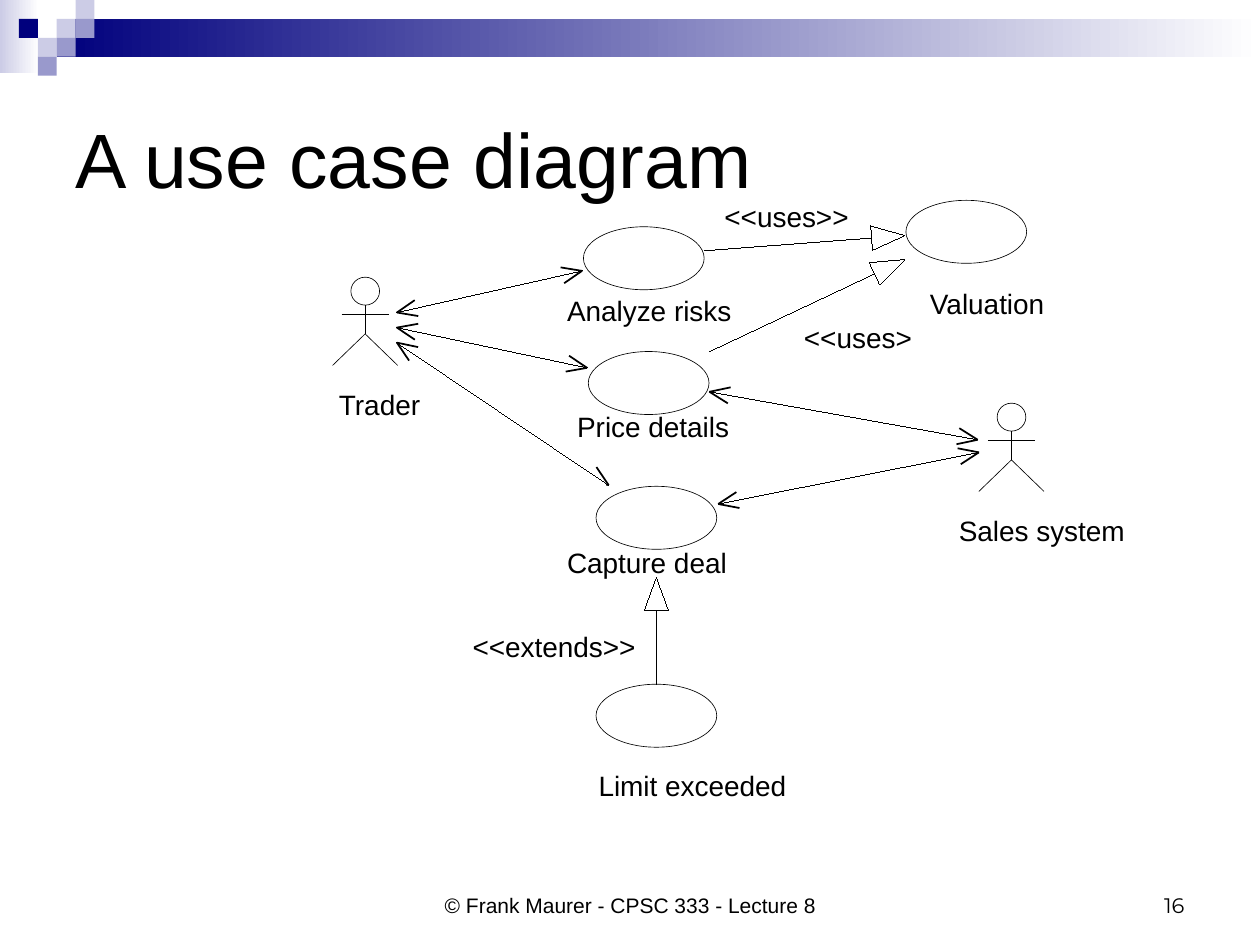
from dataclasses import dataclass
from math import atan2, cos, radians, sin

from lxml.etree import SubElement
from pptx import Presentation
from pptx.dml.color import RGBColor
from pptx.enum.shapes import MSO_CONNECTOR, MSO_SHAPE
from pptx.enum.text import MSO_ANCHOR, MSO_AUTO_SIZE, PP_ALIGN
from pptx.oxml.ns import qn
from pptx.util import Pt


@dataclass(frozen=True)
class Theme:
    """Colours, fonts, type sizes and line widths."""
    ink: RGBColor = RGBColor(0, 0, 0)
    paper: RGBColor = RGBColor(255, 255, 255)
    navy: RGBColor = RGBColor(0x00, 0x00, 0x7D)
    lilac: RGBColor = RGBColor(0x99, 0x99, 0xCC)
    mist: RGBColor = RGBColor(0xCC, 0xCC, 0xE6)
    font: str = "Arial"
    number_font: str = "Montserrat"
    title_size: int = 44
    label_size: int = 16
    footer_size: int = 12
    hairline: float = 0.01
    outline: float = 0.37
    barb: float = 1


THEME = Theme()
BARB_ANGLE = radians(22)
BARB_LENGTH = 12.4


def style_text(frame, text, size, font=THEME.font, align=PP_ALIGN.LEFT):
    """Set the text of a frame and format its runs."""
    frame.text = text
    paragraph = frame.paragraphs[0]
    paragraph.alignment = align
    for run in paragraph.runs:
        run.font.name = font
        run.font.size = Pt(size)
        run.font.color.rgb = THEME.ink


def add_filled(slide, box, *colours):
    """Add a borderless rectangle, plain or shaded from left to right."""
    shape = slide.shapes.add_shape(MSO_SHAPE.RECTANGLE, *map(Pt, box))
    shape.shadow.inherit = False
    shape.line.fill.background()
    if len(colours) == 1:
        shape.fill.solid()
        shape.fill.fore_color.rgb = colours[0]
        return
    shape.fill.gradient()
    shape.fill.gradient_angle = 0
    for stop, colour in zip(shape.fill.gradient_stops, colours):
        stop.color.rgb = colour


def add_oval(slide, box):
    """Add an unfilled outlined ellipse."""
    shape = slide.shapes.add_shape(MSO_SHAPE.OVAL, *map(Pt, box))
    shape.shadow.inherit = False
    shape.fill.background()
    shape.line.color.rgb = THEME.ink
    shape.line.width = Pt(THEME.outline)
    return shape


def add_line(slide, start, end, width):
    """Add a straight line between two points."""
    line = slide.shapes.add_connector(
        MSO_CONNECTOR.STRAIGHT, *map(Pt, (*start, *end)))
    line.line.color.rgb = THEME.ink
    line.line.width = Pt(width)
    SubElement(line._element.spPr, qn("a:effectLst"))
    return line


def add_path(slide, points, width, close=False):
    """Add a polyline, or a white polygon when closed."""
    corners = [(Pt(x), Pt(y)) for x, y in points]
    builder = slide.shapes.build_freeform(*corners[0])
    builder.add_line_segments(corners[1:], close=close)
    shape = builder.convert_to_shape()
    shape.shadow.inherit = False
    shape.line.color.rgb = THEME.ink
    shape.line.width = Pt(width)
    if close:
        shape.fill.solid()
        shape.fill.fore_color.rgb = THEME.paper
    else:
        shape.fill.background()


def add_label(slide, left, top, width, text):
    """Add a one-line diagram label."""
    frame = slide.shapes.add_textbox(Pt(left), Pt(top), Pt(width), Pt(19.4)).text_frame
    frame.margin_left = frame.margin_right = frame.margin_top = frame.margin_bottom = 0
    frame.word_wrap = False
    frame.auto_size = MSO_AUTO_SIZE.SHAPE_TO_FIT_TEXT
    style_text(frame, text, THEME.label_size)


def add_header(slide, box):
    """Draw the shaded band and the mosaic of squares."""
    left, top, width, height = box
    side = 10.8
    add_filled(slide, (left, top, 22.3, height), THEME.mist, THEME.paper)
    add_filled(slide, (left + 3 * side, top + side, width - 3 * side, 2 * side),
               THEME.navy, THEME.paper)
    squares = [(3, 1, THEME.mist), (4, 0, THEME.mist), (4, 1, THEME.lilac),
               (2, 2, THEME.mist), (1, 1, THEME.navy), (3, 2, THEME.lilac),
               (2, 3, THEME.lilac)]
    for column, row, colour in squares:
        add_filled(slide, (left + column * side, top + row * side, side, side), colour)


def add_title(slide, box, text):
    """Place and format the title placeholder."""
    title = slide.shapes.title
    title.left, title.top, title.width, title.height = map(Pt, box)
    frame = title.text_frame
    frame.auto_size = MSO_AUTO_SIZE.NONE
    frame.vertical_anchor = MSO_ANCHOR.MIDDLE
    style_text(frame, text, THEME.title_size)


def add_use_case(slide, box, text, offset, label_width):
    """Draw a use case oval with its label below."""
    left, top, _, height = box
    oval = add_oval(slide, box)
    add_label(slide, left + offset[0], top + height + offset[1], label_width, text)
    return oval


def add_actor(slide, box, text, label_shift, label_width):
    """Draw a stick figure with its name below."""
    left, top, width, height = box
    middle, hip = left + width / 2, top + 32.4
    add_oval(slide, (middle - 8.2, top, 16.4, 16))
    add_line(slide, (middle, top + 16), (middle, hip), THEME.outline)
    add_line(slide, (middle - 13.5, top + 21), (middle + 13.5, top + 21), THEME.outline)
    add_path(slide, [(left, top + height), (middle, hip), (left + width, top + height)],
             THEME.outline)
    add_label(slide, left + label_shift, top + height + 12.4, label_width, text)


def add_barbs(slide, tip, origin, lengths=(BARB_LENGTH, BARB_LENGTH)):
    """Draw the two strokes of an open arrowhead."""
    angle = atan2(origin[1] - tip[1], origin[0] - tip[0])
    for length, turn in zip(lengths, (BARB_ANGLE, -BARB_ANGLE)):
        end = (tip[0] + length * cos(angle + turn), tip[1] + length * sin(angle + turn))
        add_line(slide, tip, end, THEME.barb)


def add_association(slide, start, end, end_lengths=(BARB_LENGTH, BARB_LENGTH)):
    """Link an actor and a use case in both directions."""
    add_line(slide, start, end, THEME.hairline)
    add_barbs(slide, start, end)
    add_barbs(slide, end, start, end_lengths)


def add_relation(slide, start, tip):
    """Draw a line that ends in a hollow triangle."""
    line = add_line(slide, start, tip, THEME.hairline)
    angle = atan2(start[1] - tip[1], start[0] - tip[0])
    along, across = (cos(angle), sin(angle)), (-sin(angle), cos(angle))
    base = [(tip[0] + 19 * along[0] + half * across[0],
             tip[1] + 19 * along[1] + half * across[1]) for half in (7, -7)]
    add_path(slide, [tip, *base], THEME.hairline, close=True)
    return line


def add_diagram(slide, box):
    """Draw actors, use cases and the links between them."""
    left, top = box[:2]

    def at(x, y):
        """Shift a point into the diagram box."""
        return left + x, top + y

    use_cases = [("Valuation", 327.6, 0, (13.7, 13), 68),
                 ("Analyze risks", 143.3, 15.1, (-9.4, 2.2), 95.5),
                 ("Price details", 146.1, 86.4, (-6.4, -2.9), 88.5),
                 ("Capture deal", 150.5, 163.4, (-16.6, -2.1), 92.5),
                 ("Limit exceeded", 150.5, 276.5, (1.4, 12.2), 109)]
    ovals = {text: add_use_case(slide, (*at(x, y), 69, 36), text, offset, width)
             for text, x, y, offset, width in use_cases}

    add_actor(slide, (*at(0, 43.9), 37.2, 50.4), "Trader", 3.6, 48)
    add_actor(slide, (*at(369.3, 115.9), 37.2, 50.4), "Sales system", -11.5, 96.5)

    add_association(slide, at(36.7, 64.1), at(142.5, 40.3))
    add_association(slide, at(36.7, 72.7), at(145.4, 95.7))
    add_association(slide, at(36.7, 81.3), at(157.7, 162.7), (BARB_LENGTH, 1.4))
    add_association(slide, at(215.3, 109.4), at(368.6, 136.8))
    add_association(slide, at(220.3, 173.5), at(369.3, 144))

    add_relation(slide, at(212.4, 28.8), at(326.9, 20.1))
    add_relation(slide, at(215.3, 86.4), at(326.9, 33.8))
    extends = add_relation(slide, at(185, 276.5), at(185, 215.3))
    extends.begin_connect(ovals["Limit exceeded"], 0)

    for text, x, y, width in [("<<uses>>", 223.9, -0.7, 72.5),
                              ("<<uses>", 269.3, 68.8, 63),
                              ("<<extends>>", 79.9, 245.5, 95)]:
        add_label(slide, *at(x, y), width, text)


def add_footer(slide, box):
    """Write the copyright line and the slide number."""
    left, top, _, height = box
    parts = [("© Frank Maurer - CPSC 333 - Lecture 8", 0, 228.2, THEME.font, PP_ALIGN.CENTER),
             ("16", 270, 167.8, THEME.number_font, PP_ALIGN.RIGHT)]
    for text, shift, width, font, align in parts:
        frame = slide.shapes.add_textbox(
            Pt(left + shift), Pt(top), Pt(width), Pt(height)).text_frame
        frame.word_wrap = True
        frame.vertical_anchor = MSO_ANCHOR.BOTTOM
        style_text(frame, text, THEME.footer_size, font, align)


def main():
    """Build and save the slide."""
    presentation = Presentation()
    presentation.slide_width, presentation.slide_height = Pt(720), Pt(540)
    slide = presentation.slides.add_slide(presentation.slide_layouts[5])
    add_header(slide, (0, 0, 720, 41.8))
    add_title(slide, (36, 36, 648, 108), "A use case diagram")
    add_diagram(slide, (190.1, 114.5, 453, 345))
    add_footer(slide, (246.2, 491.8, 437.8, 36))
    presentation.save("out.pptx")


if __name__ == "__main__":
    main()
